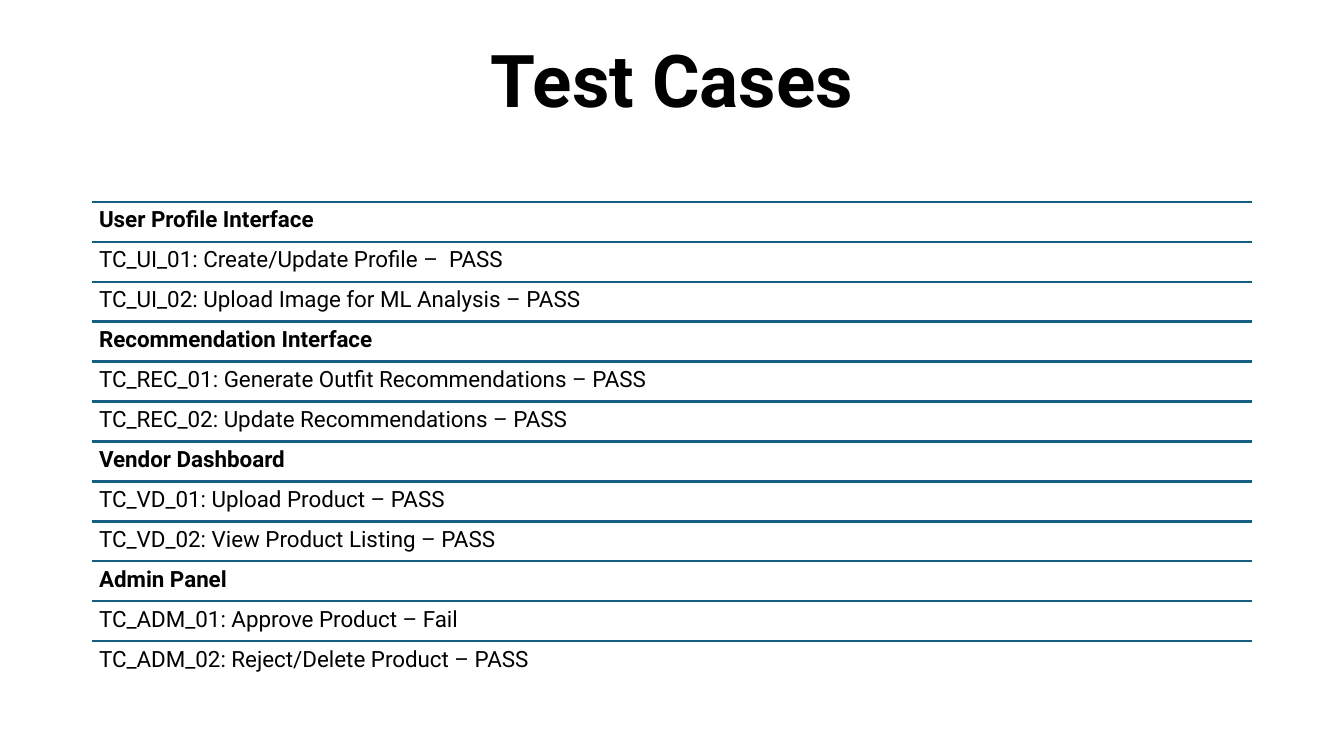
from lxml.etree import SubElement
from pptx import Presentation
from pptx.dml.color import RGBColor
from pptx.enum.shapes import MSO_CONNECTOR as Connector
from pptx.enum.text import MSO_ANCHOR as Anchor, PP_ALIGN as Align
from pptx.oxml.ns import qn
from pptx.util import Pt

LEFT, WIDTH = 66, 828
ROWS_TOP, ROW_HEIGHT = 144, 28.56
BLACK, TEAL = "000000", "156082"
TITLE_FORMAT = {"name": "Roboto", "size": Pt(52), "bold": True}
HEADING_FORMAT = {"name": "Roboto", "size": Pt(16), "bold": True}
CASE_FORMAT = {"name": "Roboto", "size": Pt(16), "bold": False}

TEST_CASES = {
    "User Profile Interface": [
        "TC_UI_01: Create/Update Profile –  PASS",
        "TC_UI_02: Upload Image for ML Analysis – PASS",
    ],
    "Recommendation Interface": [
        "TC_REC_01: Generate Outfit Recommendations – PASS",
        "TC_REC_02: Update Recommendations – PASS",
    ],
    "Vendor Dashboard": [
        "TC_VD_01: Upload Product – PASS",
        "TC_VD_02: View Product Listing – PASS",
    ],
    "Admin Panel": [
        "TC_ADM_01: Approve Product – Fail",
        "TC_ADM_02: Reject/Delete Product – PASS",
    ],
}


def color(value):
    return RGBColor.from_string(value)


def set_attributes(target, values):
    for name, value in values.items():
        setattr(target, name, value)


def add_text(slide, text, top, height, font_format, align, margins):
    shape = slide.shapes.add_textbox(Pt(LEFT), Pt(top), Pt(WIDTH), Pt(height))
    frame = shape.text_frame
    frame_format = {"word_wrap": True, "vertical_anchor": Anchor.TOP}
    for side, margin in zip(("left", "top", "right", "bottom"), margins):
        frame_format[f"margin_{side}"] = Pt(margin)
    set_attributes(frame, frame_format)
    paragraph = frame.paragraphs[0]
    set_attributes(paragraph, {"alignment": align, "line_spacing": 0.9})
    run = paragraph.add_run()
    run.text = text
    set_attributes(run.font, font_format)
    run.font.color.rgb = color(BLACK)


def add_rule(slide, top):
    connector = slide.shapes.add_connector(
        Connector.STRAIGHT, Pt(LEFT), Pt(top), Pt(LEFT + WIDTH), Pt(top))
    connector.line.width = Pt(1.5)
    connector.line.color.rgb = color(TEAL)
    SubElement(connector._element.spPr, qn("a:effectLst"))


def add_row(slide, index, text, font_format):
    top = ROWS_TOP + index * ROW_HEIGHT
    add_rule(slide, top)
    add_text(slide, text, top, ROW_HEIGHT, font_format, Align.LEFT, [4.8] * 4)


def main():
    presentation = Presentation()
    set_attributes(presentation, {"slide_width": Pt(960), "slide_height": Pt(540)})
    slide = presentation.slides.add_slide(presentation.slide_layouts[6])
    add_text(slide, "Test Cases", 28, 89.28, TITLE_FORMAT, Align.CENTER,
             (7.2, 3.6, 7.2, 3.6))
    rows = []
    for heading, cases in TEST_CASES.items():
        rows.append((heading, HEADING_FORMAT))
        rows.extend((case, CASE_FORMAT) for case in cases)
    for index, (text, font_format) in enumerate(rows):
        add_row(slide, index, text, font_format)
    presentation.save("out.pptx")


if __name__ == "__main__":
    main()
